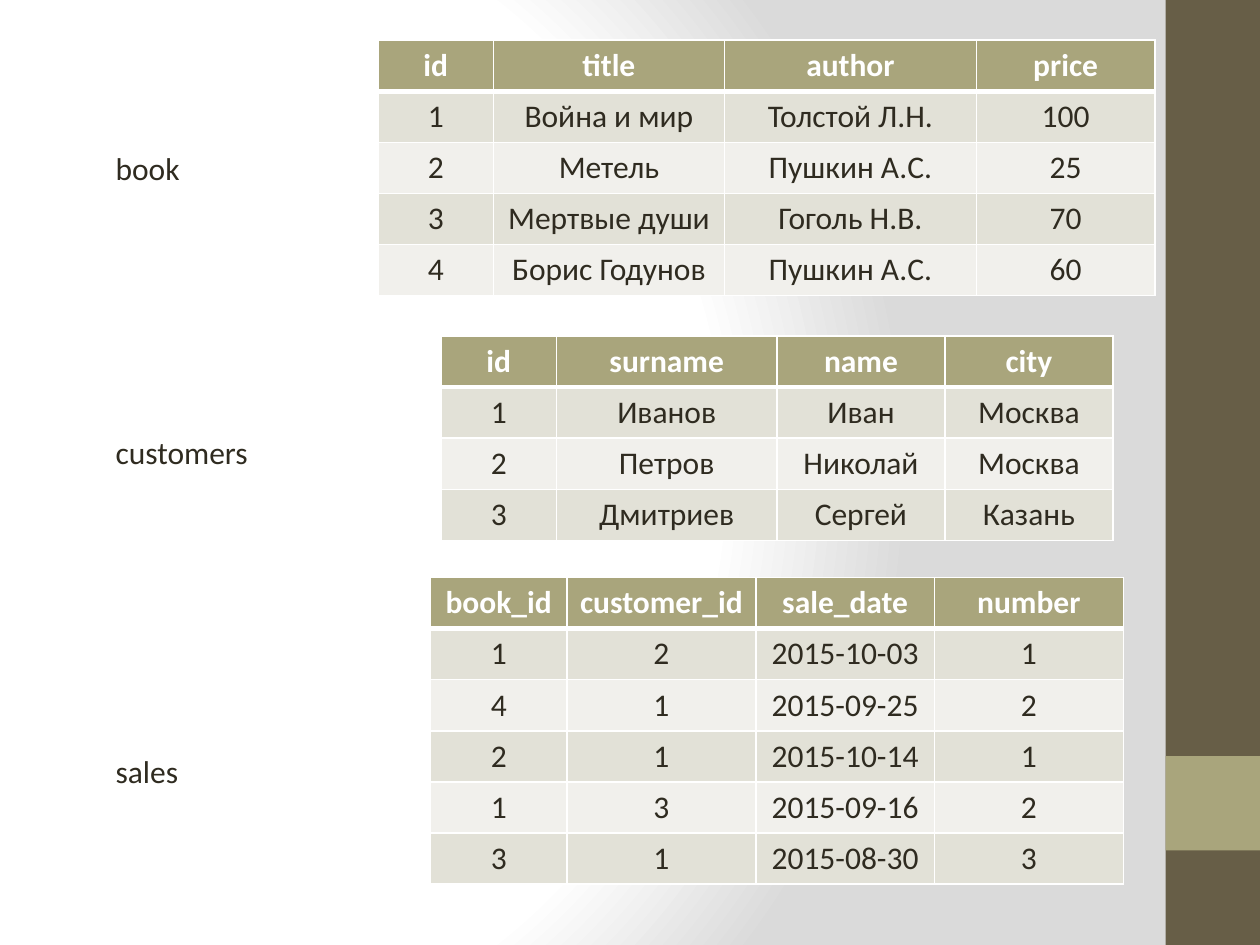
from pptx import Presentation
from pptx.dml.color import RGBColor
from pptx.enum.shapes import MSO_SHAPE
from pptx.enum.text import MSO_AUTO_SIZE, PP_ALIGN
from pptx.oxml import parse_xml
from pptx.oxml.ns import nsdecls, qn
from pptx.util import Pt

HUES = {
    "white": "FFFFFF", "grey": "DADADA", "brown": "675E47", "olive": "A9A57C",
    "odd": "E2E1D7", "even": "F1F0EC", "ink": "2F2B20",
}
ROW = 29.2

TABLES = [
    {
        "name": "book", "label": (59, 81.4, 52), "left": 216, "top": 23,
        "cols": [66, 132, 144, 102],
        "rows": [
            ["id", "title", "author", "price"],
            ["1", "Война и мир", "Толстой Л.Н.", "100"],
            ["2", "Метель", "Пушкин А.С.", "25"],
            ["3", "Мертвые души", "Гоголь Н.В.", "70"],
            ["4", "Борис Годунов", "Пушкин А.С.", "60"],
        ],
    },
    {
        "name": "customers", "label": (59, 244.1, 91), "left": 252, "top": 192,
        "cols": [66, 126, 96, 96],
        "rows": [
            ["id", "surname", "name", "city"],
            ["1", "Иванов", "Иван", "Москва"],
            ["2", "Петров", "Николай", "Москва"],
            ["3", "Дмитриев", "Сергей", "Казань"],
        ],
    },
    {
        "name": "sales", "label": (59, 426, 50.5), "left": 246, "top": 330,
        "cols": [78, 108, 102, 108],
        "rows": [
            ["book_id", "customer_id", "sale_date", "number"],
            ["1", "2", "2015-10-03", "1"],
            ["4", "1", "2015-09-25", "2"],
            ["2", "1", "2015-10-14", "1"],
            ["1", "3", "2015-09-16", "2"],
            ["3", "1", "2015-08-30", "3"],
        ],
    },
]


def style(para, hue, bold=False):
    para.font.name = "Calibri"
    para.font.size = Pt(18)
    para.font.bold = bold
    para.font.color.rgb = RGBColor.from_string(HUES[hue])


def border(cell, side, width):
    cell._tc.get_or_add_tcPr().append(parse_xml(
        f'<a:ln{side} {nsdecls("a")} w="{Pt(width)}"><a:solidFill>'
        f'<a:srgbClr val="{HUES["white"]}"/></a:solidFill></a:ln{side}>'))


deck = Presentation()
deck.slide_width, deck.slide_height = Pt(720), Pt(540)
slide = deck.slides.add_slide(deck.slide_layouts[6])

slide.background.fill.solid()
solid = next(slide.element.iter(qn("a:solidFill")))
stops = "".join(
    f'<a:gs pos="{pos * 1000}"><a:srgbClr val="{HUES[hue]}"/></a:gs>'
    for pos, hue in [(0, "white"), (75, "white"), (100, "grey")])
solid.getparent().replace(solid, parse_xml(
    f'<a:gradFill {nsdecls("a")} rotWithShape="1"><a:gsLst>{stops}</a:gsLst>'
    '<a:path path="circle"><a:fillToRect l="20000" t="50000" r="100000" b="50000"/>'
    '</a:path></a:gradFill>'))

for top, height, hue in [(0, 540, "brown"), (432, 54, "olive")]:
    bar = slide.shapes.add_shape(
        MSO_SHAPE.RECTANGLE, Pt(666), Pt(top), Pt(54), Pt(height))
    bar.shadow.inherit = False
    bar.fill.solid()
    bar.fill.fore_color.rgb = RGBColor.from_string(HUES[hue])
    bar.line.fill.background()

for data in TABLES:
    rows, cols = data["rows"], data["cols"]
    grid = slide.shapes.add_table(
        len(rows), len(cols), Pt(data["left"]), Pt(data["top"]),
        Pt(sum(cols)), Pt(ROW * len(rows))).table
    for col, width in zip(grid.columns, cols):
        col.width = Pt(width)
    for r, row in enumerate(rows):
        grid.rows[r].height = Pt(ROW)
        head = r == 0
        fill = "olive" if head else "odd" if r % 2 else "even"
        for c, word in enumerate(row):
            cell = grid.cell(r, c)
            border(cell, "L", 1)
            border(cell, "R", 1)
            border(cell, "T", 3 if r == 1 else 1)
            border(cell, "B", 3 if head else 1)
            cell.fill.solid()
            cell.fill.fore_color.rgb = RGBColor.from_string(HUES[fill])
            cell.text = word
            para = cell.text_frame.paragraphs[0]
            para.alignment = PP_ALIGN.CENTER
            style(para, "white" if head else "ink", head)

for data in TABLES:
    left, top, width = data["label"]
    frame = slide.shapes.add_textbox(
        Pt(left), Pt(top), Pt(width), Pt(ROW)).text_frame
    frame.word_wrap = False
    frame.auto_size = MSO_AUTO_SIZE.SHAPE_TO_FIT_TEXT
    frame.text = data["name"]
    style(frame.paragraphs[0], "ink")

deck.save("out.pptx")
